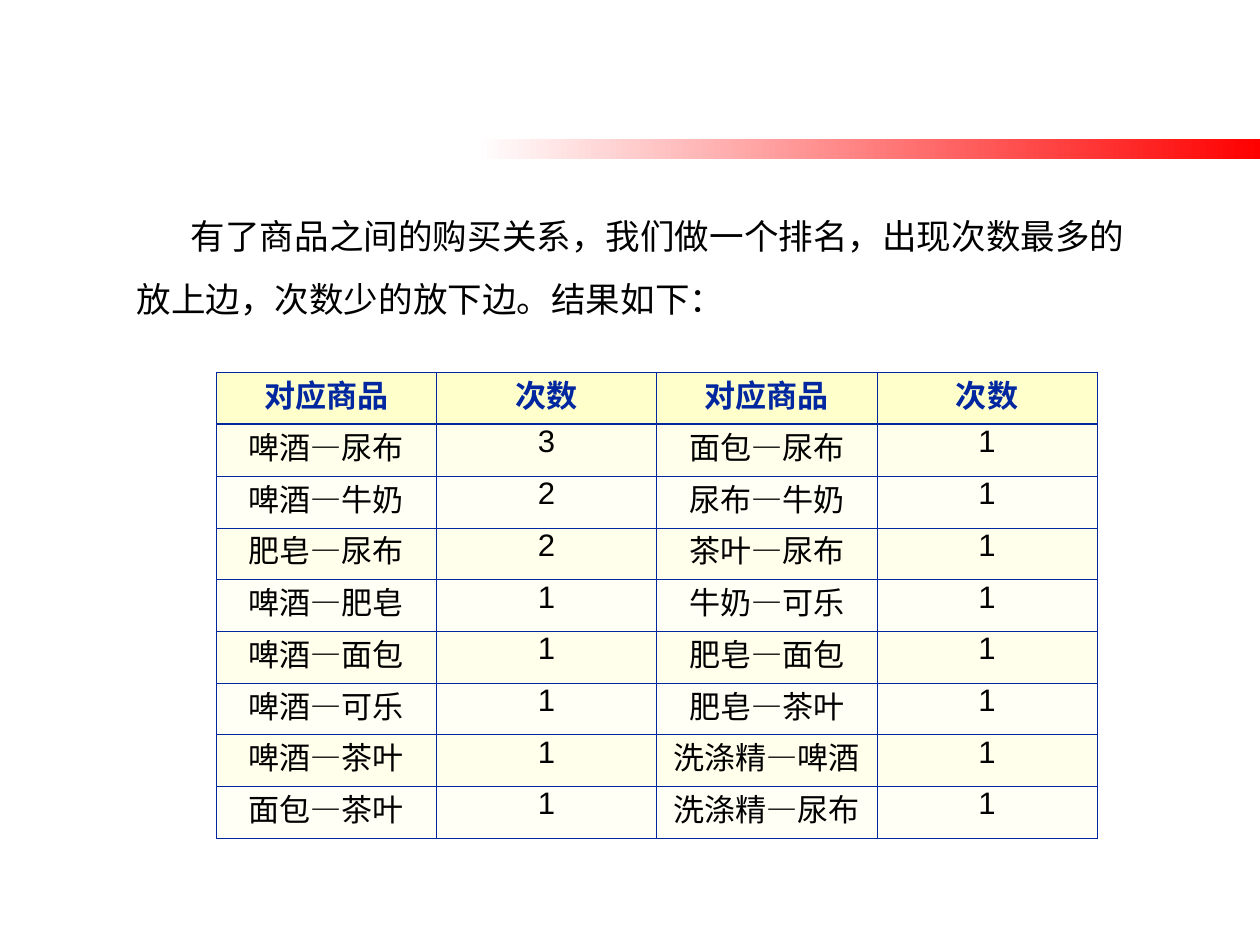
from lxml.etree import SubElement
from pptx import Presentation
from pptx.dml.color import RGBColor
from pptx.enum.shapes import MSO_SHAPE as Preset
from pptx.enum.text import MSO_AUTO_SIZE as AutoSize, PP_ALIGN as Align
from pptx.oxml.ns import qn
from pptx.util import Pt

PAIR_COUNTS = [
    ("啤酒—尿布", "3", "面包—尿布", "1"),
    ("啤酒—牛奶", "2", "尿布—牛奶", "1"),
    ("肥皂—尿布", "2", "茶叶—尿布", "1"),
    ("啤酒—肥皂", "1", "牛奶—可乐", "1"),
    ("啤酒—面包", "1", "肥皂—面包", "1"),
    ("啤酒—可乐", "1", "肥皂—茶叶", "1"),
    ("啤酒—茶叶", "1", "洗涤精—啤酒", "1"),
    ("面包—茶叶", "1", "洗涤精—尿布", "1"),
]
HEADINGS = ("对应商品", "次数") * 2


def color(hex_code):
    return RGBColor.from_string(hex_code)


class RankingSlide:
    LATIN, CHINESE = "Arial", "Noto Sans CJK SC"
    BLACK, BLUE = "000000", "00279F"
    HEADING_FILL, ROW_FILLS = "FFFFCC", ("FFFFEC", "FFFFF6")
    THIN, THICK = 0.45, 1.47

    def __init__(self, deck):
        self.slide = deck.slides.add_slide(deck.slide_layouts[6])

    def gradient_bar(self, left, top, width, height, start, end):
        bar = self.slide.shapes.add_shape(
            Preset.RECTANGLE, Pt(left), Pt(top), Pt(width), Pt(height))
        bar.shadow.inherit = False
        bar.line.fill.background()
        bar.fill.gradient()
        bar.fill.gradient_angle = 0
        for stop, hex_code in zip(bar.fill.gradient_stops, (start, end)):
            stop.color.rgb = color(hex_code)

    def add_text(self, paragraph, text, size, hex_code, latin=LATIN, bold=False):
        run = paragraph.add_run()
        run.text = text
        font = run.font
        font.size, font.bold, font.name = Pt(size), bold, latin
        font.color.rgb = color(hex_code)
        SubElement(run._r.get_or_add_rPr(), qn("a:ea"), typeface=self.CHINESE)

    def intro(self, left, top, width, height, text, indent):
        frame = self.slide.shapes.add_textbox(
            Pt(left), Pt(top), Pt(width), Pt(height)).text_frame
        frame.word_wrap = True
        frame.auto_size = AutoSize.SHAPE_TO_FIT_TEXT
        paragraph = frame.paragraphs[0]
        paragraph.line_spacing = 1.5
        properties = paragraph._p.get_or_add_pPr()
        properties.set("marL", "0")
        properties.set("indent", str(Pt(indent)))
        self.add_text(paragraph, text, 20, self.BLACK)

    def borders(self, cell, top, bottom):
        properties = cell._tc.get_or_add_tcPr()
        sides = (("L", self.THIN), ("R", self.THIN), ("T", top), ("B", bottom))
        for side, weight in sides:
            line = SubElement(properties, qn(f"a:ln{side}"), w=str(Pt(weight)))
            fill = SubElement(line, qn("a:solidFill"))
            SubElement(fill, qn("a:srgbClr"), val=self.BLUE)

    def cell(self, cell, text, row):
        heading = row == 0
        self.borders(cell, self.THICK if row == 1 else self.THIN,
                     self.THICK if heading else self.THIN)
        cell.fill.solid()
        cell.fill.fore_color.rgb = color(
            self.HEADING_FILL if heading else self.ROW_FILLS[(row - 1) % 2])
        paragraph = cell.text_frame.paragraphs[0]
        paragraph.alignment = Align.CENTER
        paragraph.line_spacing = 0.8
        latin = self.LATIN if heading or text.isdigit() else self.CHINESE
        self.add_text(paragraph, text, 18, self.BLUE if heading else self.BLACK,
                      latin, heading)

    def ranking(self, left, top, column_width, row_height, rows):
        columns = len(rows[0])
        table = self.slide.shapes.add_table(
            len(rows), columns, Pt(left), Pt(top),
            Pt(column_width * columns), Pt(row_height * len(rows))).table
        table.first_row = table.horz_banding = False
        for row, texts in enumerate(rows):
            for column, text in enumerate(texts):
                self.cell(table.cell(row, column), text, row)


def main():
    deck = Presentation()
    deck.slide_width, deck.slide_height = Pt(730), Pt(547.2)
    slide = RankingSlide(deck)
    slide.gradient_bar(275, 80.6, 455, 11.5, "FFFFFF", "FF0000")
    slide.intro(72, 109.4, 603.4, 79.2,
                "有了商品之间的购买关系，我们做一个排名，出现次数最多的"
                "放上边，次数少的放下边。结果如下：", indent=31.5)
    slide.ranking(125.3, 216, 127.6, 30, [HEADINGS, *PAIR_COUNTS])
    deck.save("out.pptx")


if __name__ == "__main__":
    main()
